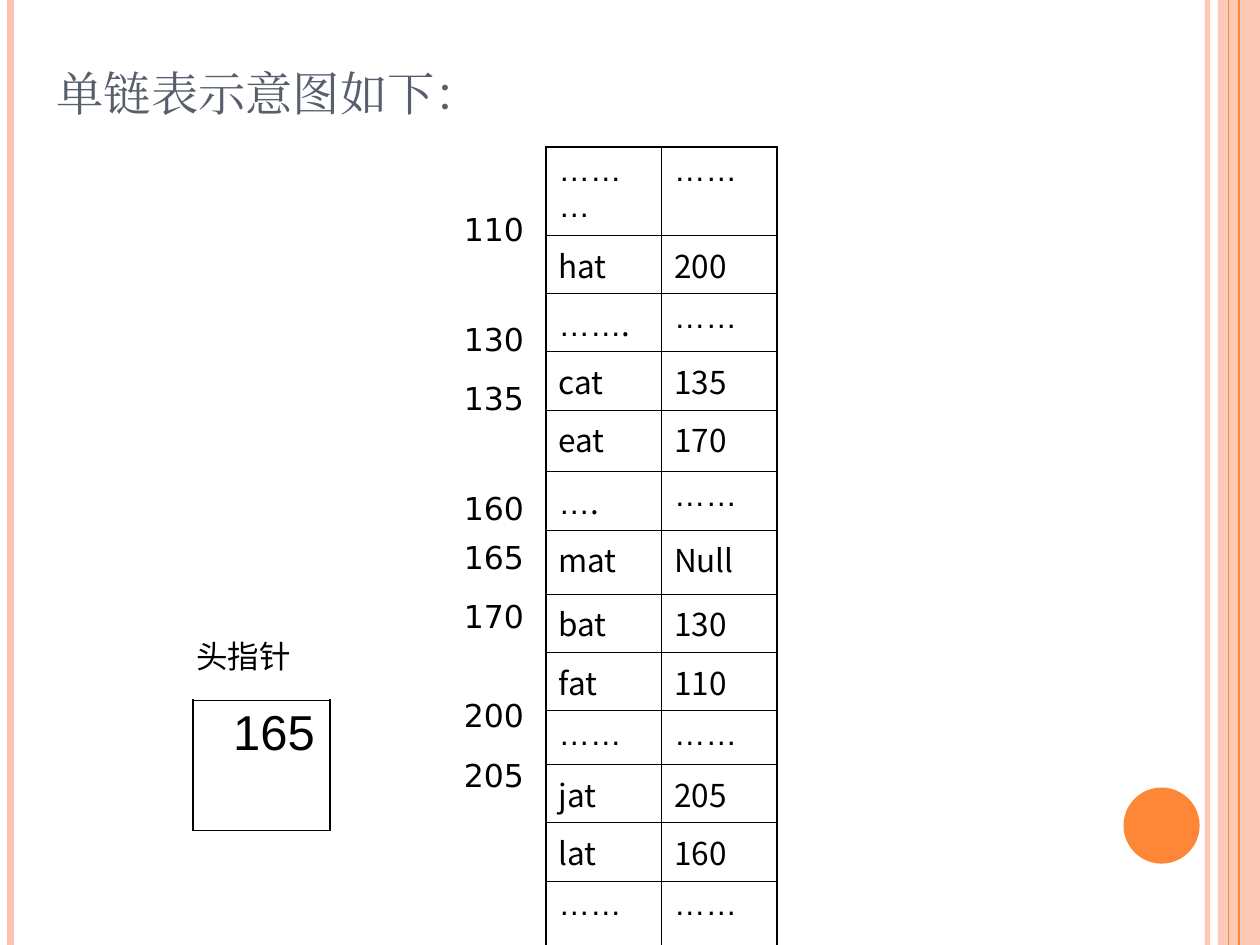
"""Build the slide that shows a singly linked list laid out in memory."""
from itertools import groupby

from lxml.etree import SubElement
from pptx import Presentation
from pptx.dml.color import RGBColor
from pptx.enum.shapes import MSO_CONNECTOR, MSO_SHAPE
from pptx.enum.text import MSO_ANCHOR, MSO_AUTO_SIZE, PP_ALIGN
from pptx.oxml import parse_xml
from pptx.oxml.ns import nsdecls, qn
from pptx.util import Pt

PEACH, ORANGE, SLATE, BLACK = "FEC3AE", "FE8637", "575F6D", "000000"


def format_run(run, font, size, colour):
    run.font.name = font
    run.font.size = Pt(size)
    run.font.color.rgb = RGBColor.from_string(colour)
    SubElement(run.font._element, qn("a:ea")).set("typeface", font)


def set_borders(cell, left, right, top, bottom):
    cell.fill.background()
    for index, (side, width) in enumerate(zip("LRTB", (left, right, top, bottom))):
        cell._tc.get_or_add_tcPr().insert(index, parse_xml(
            f'<a:ln{side} {nsdecls("a")} w="{Pt(width)}"><a:solidFill>'
            f'<a:srgbClr val="{BLACK}"/></a:solidFill></a:ln{side}>'))


deck = Presentation()
deck.slide_width, deck.slide_height = Pt(720), Pt(540)
slide = deck.slides.add_slide(deck.slide_layouts[5])
shapes = slide.shapes

stripes = []
for x, width, colour in [(690, 3, PEACH), (6, 4.5, PEACH), (708, 1.5, ORANGE)]:
    stripes.append((x, width, colour))

band = shapes.add_shape(MSO_SHAPE.RECTANGLE, Pt(696), 0, Pt(24), Pt(540))
dot = shapes.add_shape(MSO_SHAPE.OVAL, Pt(642), Pt(450), Pt(43.5), Pt(43.5))
for ornament, colour in [(band, PEACH), (dot, ORANGE)]:
    ornament.shadow.inherit = False
    ornament.fill.solid()
    ornament.fill.fore_color.rgb = RGBColor.from_string(colour)
    ornament.line.fill.background()
band_colour = band._element.spPr.find(qn("a:solidFill"))[0]
SubElement(band_colour, qn("a:alpha")).set("val", "87000")

for x, width, colour in stripes + [(702, 0.75, ORANGE)]:
    stripe = shapes.add_connector(MSO_CONNECTOR.STRAIGHT, Pt(x), 0, Pt(x), Pt(540))
    stripe.line.width = Pt(width)
    stripe.line.color.rgb = RGBColor.from_string(colour)
    if x == 690:
        stripe_colour = stripe.line._ln.find(qn("a:solidFill"))[0]
        SubElement(stripe_colour, qn("a:alpha")).set("val", "93000")
    SubElement(stripe._element.spPr, qn("a:effectLst"))

title = shapes.title
title.left, title.top, title.width, title.height = Pt(25.2), Pt(31.7), Pt(680.4), Pt(41)
title.text_frame.text = "单链表示意图如下："
title.text_frame.auto_size = MSO_AUTO_SIZE.NONE
title.text_frame.vertical_anchor = MSO_ANCHOR.BOTTOM
title.text_frame.paragraphs[0].alignment = PP_ALIGN.LEFT
format_run(title.text_frame.paragraphs[0].runs[0], "Cambria", 27, SLATE)

nodes = [
    ("………", "……", 50.4), ("hat", "200", 30.4), ("…….", "……", 30.4),
    ("cat", "135", 30.4), ("eat", "170", 35.4), ("….", "……", 30.4),
    ("mat", "Null", 36.6), ("bat", "130", 30.4), ("fat", "110", 30.4),
    ("……", "……", 30.8), ("jat", "205", 30.4), ("lat", "160", 30.4),
    ("……", "……", 38.2),
]
memory = shapes.add_table(len(nodes), 2, Pt(312), Pt(84), Pt(132), Pt(434)).table
memory.first_row = memory.horz_banding = False
for column in memory.columns:
    column.width = Pt(66)
for row, (*node, height) in enumerate(nodes):
    memory.rows[row].height = Pt(height)
    for column, content in enumerate(node):
        cell = memory.cell(row, column)
        paragraph = cell.text_frame.paragraphs[0]
        for is_ellipsis, letters in groupby(content, lambda letter: letter == "…"):
            run = paragraph.add_run()
            run.text = "".join(letters)
            format_run(run, "Arial" if is_ellipsis else "Noto Sans CJK SC", 18, BLACK)
        edges = (column == 0, column == 1, row == 0, row == len(nodes) - 1)
        set_borders(cell, *[1.08 if outer else 0.45 for outer in edges])

pointer = shapes.add_table(1, 1, Pt(110.4), Pt(400.2), Pt(78), Pt(74.4)).table
pointer.first_row = pointer.horz_banding = False
head = pointer.cell(0, 0)
head.text_frame.text = "165"
head.margin_left = Pt(22.8)
format_run(head.text_frame.paragraphs[0].runs[0], "Arial", 28, BLACK)
set_borders(head, 1.08, 1.08, 1.08, 1.08)

labels = [
    ("110", 258, 116.6, 62.6), ("130", 258, 179.2, 57), ("135", 258, 213.2, 57),
    ("160", 258, 275.8, 51), ("165", 258, 303.8, 51), ("170", 258, 337.8, 51),
    ("200", 258, 394.4, 51), ("205", 258, 428.4, 51), ("头指针", 105, 360.7, 85),
]
for caption, left, top, width in labels:
    label = shapes.add_textbox(Pt(left), Pt(top), Pt(width), Pt(28.8)).text_frame
    label.word_wrap = True
    label.auto_size = MSO_AUTO_SIZE.SHAPE_TO_FIT_TEXT
    label.text = caption
    format_run(label.paragraphs[0].runs[0], "DejaVu Sans", 18, BLACK)

deck.save("out.pptx")
